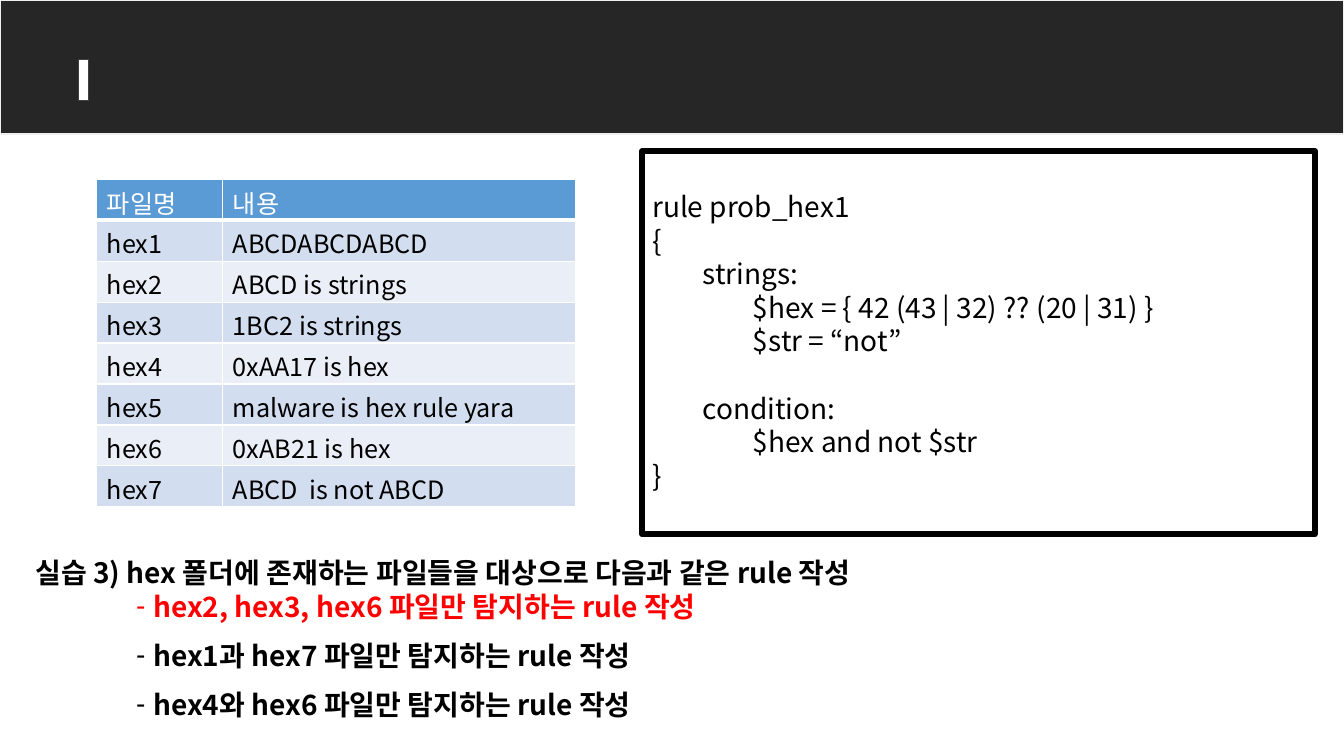
from lxml import etree
from pptx import Presentation
from pptx.dml.color import RGBColor
from pptx.enum.shapes import MSO_SHAPE
from pptx.enum.text import MSO_ANCHOR, MSO_AUTO_SIZE, PP_ALIGN
from pptx.oxml.ns import qn
from pptx.util import Inches, Pt

RECTANGLE = MSO_SHAPE.RECTANGLE
TOP = MSO_ANCHOR.TOP
LEFT = PP_ALIGN.LEFT
NO_AUTOFIT = MSO_AUTO_SIZE.NONE

FONT = "Noto Sans CJK KR"
BLACK, WHITE, RED = "000000", "FFFFFF", "FF0000"
HEADER_FILL, BAND_FILLS = "5B9BD5", ("D2DEEF", "EAEFF7")
WIDTH, HEIGHT = 13.33, 7.5

FILES = [
    ("파일명", "내용"),
    ("hex1", "ABCDABCDABCD"),
    ("hex2", "ABCD is strings"),
    ("hex3", "1BC2 is strings"),
    ("hex4", "0xAA17 is hex"),
    ("hex5", "malware is hex rule yara"),
    ("hex6", "0xAB21 is hex"),
    ("hex7", "ABCD  is not ABCD"),
]
COLUMN_WIDTHS = (1.25, 3.5)
TABLE_HEIGHT = 3.24
CODE = [
    ("rule prob_hex1", 0),
    ("{", 0),
    ("\tstrings:", 0),
    ("\t\t$hex = { 42 (43 | 32) ?? (20 | 31) }", 0),
    ("\t\t$str = “not”", 0),
    ("\tcondition:", 24),
    ("\t\t$hex and not $str", 0),
    ("}", 0),
]
TASK = "실습 3) hex 폴더에 존재하는 파일들을 대상으로 다음과 같은 rule 작성"
SUBTASKS = [
    ("hex2, hex3, hex6 파일만 탐지하는 rule 작성", RED, 0),
    ("hex1과 hex7 파일만 탐지하는 rule 작성", BLACK, 11),
    ("hex4와 hex6 파일만 탐지하는 rule 작성", BLACK, 11),
]


def rgb(value):
    return RGBColor.from_string(value)


def place(shape, left, top, width, height):
    shape.left, shape.top = Inches(left), Inches(top)
    shape.width, shape.height = Inches(width), Inches(height)


def write(paragraph, text, size, color, bold=False, before=0, bullet=None, indent=0):
    paragraph.text = text
    paragraph.alignment = LEFT
    paragraph.line_spacing = Pt(round(size * 1.2))
    paragraph.space_before = Pt(before)
    properties = paragraph._p.get_or_add_pPr()
    hanging = 0.17 if bullet else 0
    properties.set("marL", str(Inches(indent + hanging)))
    properties.set("indent", str(-Inches(hanging)))
    if bullet:
        etree.SubElement(properties, qn("a:buChar"), char=bullet)
    else:
        etree.SubElement(properties, qn("a:buNone"))
    if "\t" in text:
        tabs = etree.SubElement(properties, qn("a:tabLst"))
        for stop in (1, 2):
            etree.SubElement(tabs, qn("a:tab"), pos=str(Inches(stop)), algn="l")
    font = paragraph.font
    font.name, font.size, font.bold = FONT, Pt(size), bold
    font.color.rgb = rgb(color)
    etree.SubElement(font._element, qn("a:ea"), typeface=FONT)


def prepare(frame):
    frame.word_wrap = True
    frame.auto_size = NO_AUTOFIT
    frame.vertical_anchor = TOP


def add_rectangle(shapes, box, fill, line, line_width):
    shape = shapes.add_shape(RECTANGLE, *map(Inches, box))
    shape.shadow.inherit = False
    if fill:
        shape.fill.solid()
        shape.fill.fore_color.rgb = rgb(fill)
    else:
        shape.fill.background()
    shape.line.color.rgb = rgb(line)
    shape.line.width = Pt(line_width)
    return shape


def set_borders(cell, bottom):
    properties = cell._tc.get_or_add_tcPr()
    for side, width in (("L", 1), ("R", 1), ("T", 1), ("B", bottom)):
        line = etree.SubElement(properties, qn(f"a:ln{side}"), w=str(Pt(width)))
        fill = etree.SubElement(line, qn("a:solidFill"))
        etree.SubElement(fill, qn("a:srgbClr"), val=WHITE)


def add_file_table(shapes):
    table = shapes.add_table(
        len(FILES), len(COLUMN_WIDTHS), Inches(0.96), Inches(1.78),
        Inches(sum(COLUMN_WIDTHS)), Inches(TABLE_HEIGHT),
    ).table
    for column, width in zip(table.columns, COLUMN_WIDTHS):
        column.width = Inches(width)
    for row_index, values in enumerate(FILES):
        header = row_index == 0
        for column_index, value in enumerate(values):
            cell = table.cell(row_index, column_index)
            cell.margin_top, cell.margin_bottom = Inches(0.1), 0
            set_borders(cell, 3 if header else 1)
            cell.fill.solid()
            cell.fill.fore_color.rgb = rgb(
                HEADER_FILL if header else BAND_FILLS[(row_index - 1) % 2])
            write(cell.text_frame.paragraphs[0], value, 18, WHITE if header else BLACK)


def main():
    presentation = Presentation()
    presentation.slide_width, presentation.slide_height = Inches(WIDTH), Inches(HEIGHT)
    slide = presentation.slides.add_slide(presentation.slide_layouts[1])
    shapes = slide.shapes
    title, tasks = slide.placeholders
    title._element.getparent().remove(title._element)

    add_rectangle(shapes, (0, 0, WIDTH, 1.33), "262626", "EFEFEF", 1)
    add_rectangle(shapes, (0.78, 0.59, 0.1, 0.41), WHITE, "404040", 1)

    place(tasks, 0.25, 5.46, 12.42, 1.75)
    prepare(tasks.text_frame)
    write(tasks.text_frame.paragraphs[0], TASK, 20, BLACK, bold=True)
    for text, color, before in SUBTASKS:
        write(tasks.text_frame.add_paragraph(), text, 20, color, True, before, "-", 1)

    code_box = add_rectangle(shapes, (6.37, 1.5, 6.67, 3.8), None, BLACK, 4.5)
    code_frame = code_box.text_frame
    prepare(code_frame)
    code_frame.margin_top = Inches(0.38)
    for index, (text, before) in enumerate(CODE):
        paragraph = code_frame.add_paragraph() if index else code_frame.paragraphs[0]
        write(paragraph, text, 20, BLACK, before=before)

    add_file_table(shapes)
    presentation.save("out.pptx")


if __name__ == "__main__":
    main()
